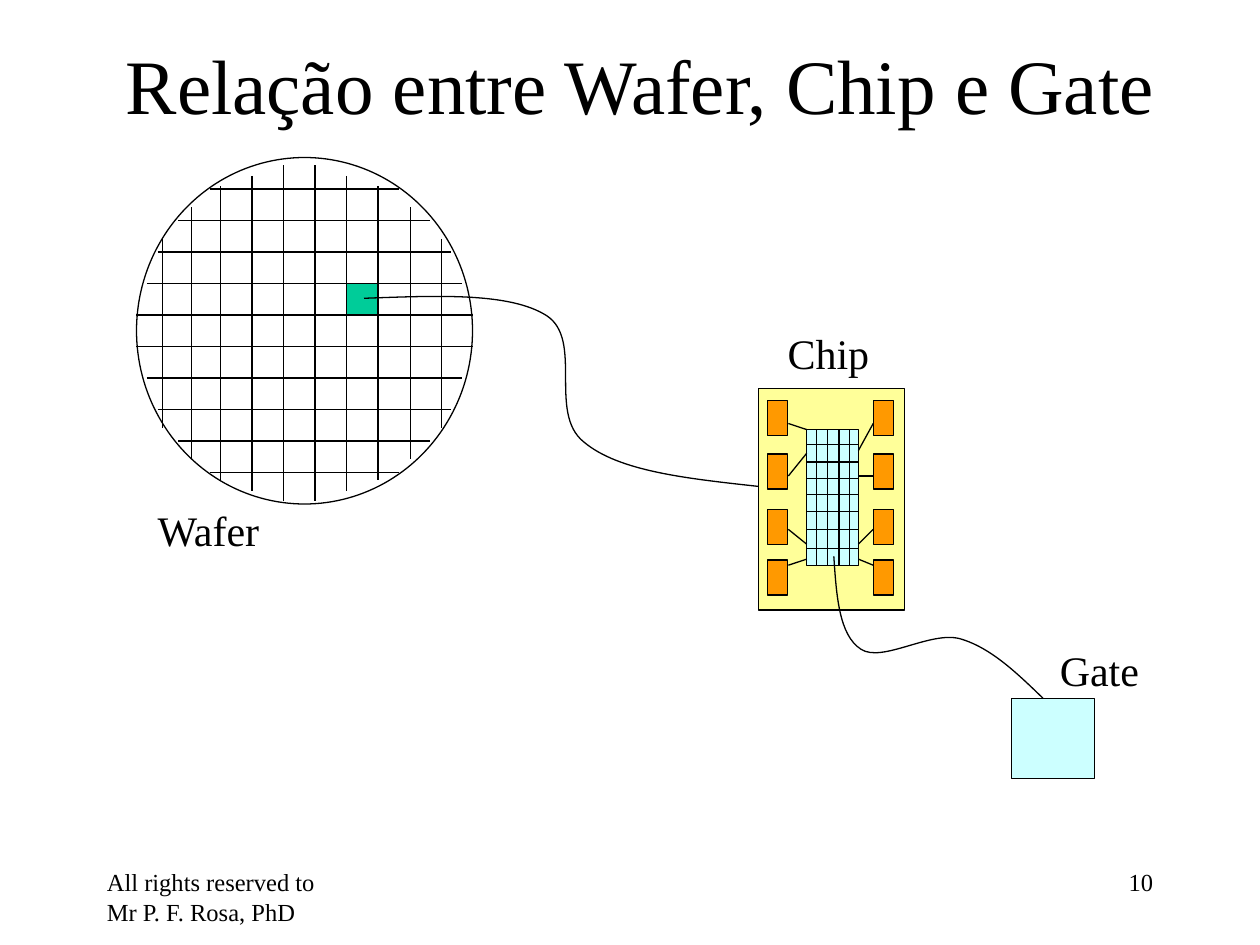
from typing import NamedTuple

import pptx
import pptx.dml.color
import pptx.enum.text
import pptx.oxml
import pptx.oxml.ns
import pptx.util

Pt = pptx.util.Pt
RGB = pptx.dml.color.RGBColor
ALIGN = pptx.enum.text.PP_ALIGN
ANCHOR = pptx.enum.text.MSO_ANCHOR
SHAPE = pptx.enum.shapes.MSO_SHAPE
LINE = pptx.enum.shapes.MSO_CONNECTOR
qn = pptx.oxml.ns.qn

BLACK = RGB(0x00, 0x00, 0x00)
GREEN = RGB(0x00, 0xCC, 0x99)
YELLOW = RGB(0xFF, 0xFF, 0x99)
ORANGE = RGB(0xFF, 0x99, 0x00)
CYAN = RGB(0xCC, 0xFF, 0xFF)
FONT = "Times New Roman"


class Box(NamedTuple):
    x: float
    y: float
    w: float
    h: float


class Wire(NamedTuple):
    x1: float
    y1: float
    x2: float
    y2: float


class Label(NamedTuple):
    text: str
    box: Box
    size: float
    align: ALIGN = ALIGN.LEFT
    wrap: bool = False


def ink(shape) -> None:
    shape.line.color.rgb = BLACK
    shape.line.width = Pt(0.75)


def draw_box(shapes, box: Box, fill: RGB | None = None, kind=SHAPE.RECTANGLE) -> None:
    shape = shapes.add_shape(kind, *map(Pt, box))
    shape.shadow.inherit = False
    ink(shape)
    if fill is None:
        shape.fill.background()
    else:
        shape.fill.solid()
        shape.fill.fore_color.rgb = fill


def draw_wire(shapes, wire: Wire) -> None:
    line = shapes.add_connector(LINE.STRAIGHT, *map(Pt, wire))
    ink(line)
    props = line.element.find(qn("p:spPr"))
    props.append(pptx.oxml.parse_xml(
        f'<a:effectLst {pptx.oxml.ns.nsdecls("a")}/>'))


def draw_curve(shapes, dots: list[tuple[float, float]]) -> None:
    """Draw a chain of Bezier arcs: a start, then three points per arc."""
    start, *rest = [(Pt(x), Pt(y)) for x, y in dots]
    form = shapes.build_freeform(*start, scale=1.0)
    form.add_line_segments(rest, close=False)
    shape = form.convert_to_shape()
    shape.shadow.inherit = False
    shape.fill.background()
    ink(shape)
    # Merge each three straight steps into one cubic arc
    steps = list(shape.element.iter(qn("a:lnTo")))
    for first, second, third in zip(steps[::3], steps[1::3], steps[2::3]):
        first.tag = qn("a:cubicBezTo")
        for step in (second, third):
            first.append(step[0])
            step.getparent().remove(step)


def set_text(shape, label: Label) -> None:
    frame = shape.text_frame
    frame.text = label.text
    frame.word_wrap = label.wrap
    para = frame.paragraphs[0]
    para.alignment = label.align
    for run in para.runs:
        run.font.name = FONT
        run.font.size = Pt(label.size)
        run.font.color.rgb = BLACK


deck = pptx.Presentation()
deck.slide_width, deck.slide_height = Pt(720), Pt(540)
slide = deck.slides.add_slide(deck.slide_layouts[5])
shapes = slide.shapes

# Title
title = shapes.title
head = Label("Relação entre Wafer, Chip e Gate", Box(60, 24, 612, 48), 44,
             ALIGN.CENTER, True)
title.left, title.top, title.width, title.height = map(Pt, head.box)
set_text(title, head)
title.text_frame.vertical_anchor = ANCHOR.MIDDLE
title.text_frame.auto_size = pptx.enum.text.MSO_AUTO_SIZE.NONE

# Wafer with its grid of dies: half lengths shrink away from the centre
draw_box(shapes, Box(78, 90, 192, 198), kind=SHAPE.OVAL)
MID_X, MID_Y = 174, 190.5
HALF = [54, 72, 84, 90, 96]
REACH = HALF + HALF[::-1]
COLS = [93, 109.5, 126, 144, 162, 180, 198, 216, 234.5, 252.5]
for i, (x, half) in enumerate(zip(COLS, REACH)):
    y = 108 + 18 * i
    draw_wire(shapes, Wire(MID_X - half, y, MID_X + half, y))
    draw_wire(shapes, Wire(x, MID_Y - half, x, MID_Y + half))
draw_box(shapes, Box(198, 162, 18, 18), GREEN)

# Curve from the die to the chip
draw_curve(shapes, [
    (208, 170.5), (250, 169), (291.5, 167), (312.5, 180.5),
    (333.5, 194.5), (313, 236), (333.5, 252.5),
    (353.5, 269.5), (393, 273.5), (433.5, 278)])

# Chip: pads, core, core grid and leads
chip = shapes.add_group_shape().shapes
draw_box(chip, Box(433.5, 222, 83.5, 126.5), YELLOW)
for x in (438.5, 499):
    for y in (229, 259.5, 291, 320):
        draw_box(chip, Box(x, y, 11.5, 20), ORANGE)
core = Box(461, 245.5, 29.5, 77.5)
right, base = core.x + core.w, core.y + core.h
draw_box(chip, core, CYAN)
for x in (466.5, 473, 479.5, 485.5):
    draw_wire(chip, Wire(x, core.y, x, base))
for y in (254, 264, 273.5, 282.5, 292.5, 302.5, 313.5):
    draw_wire(chip, Wire(core.x, y, right, y))
LEADS = [(245.5, 257.5, 242), (259, 272, 272),
         (311, 311, 302.5), (319.5, 319.5, 323)]
for left_y, right_y, pad_y in LEADS:
    draw_wire(chip, Wire(core.x, left_y, 450.5, pad_y))
    draw_wire(chip, Wire(right, right_y, 499, pad_y))

# Curve from the chip to the gate
draw_curve(shapes, [
    (476.5, 318), (478, 340.5), (479.5, 363), (492, 371),
    (504, 379), (531.5, 360.5), (548.5, 365),
    (566, 370), (581, 384.5), (596, 399)])
draw_box(shapes, Box(578, 399, 47.5, 46), CYAN)

# Captions and footer
LABELS = [
    Label("Wafer", Box(83, 284.5, 74, 36), 24),
    Label("Chip", Box(443, 183.5, 61, 36), 24),
    Label("Gate", Box(598.5, 365, 60, 36), 24),
    Label("All rights reserved to Mr P. F. Rosa, PhD",
          Box(54, 492, 150, 36), 14, wrap=True),
    Label("10", Box(516, 492, 150, 36), 14, ALIGN.RIGHT, True),
]
for label in LABELS:
    set_text(shapes.add_textbox(*map(Pt, label.box)), label)

deck.save("out.pptx")
